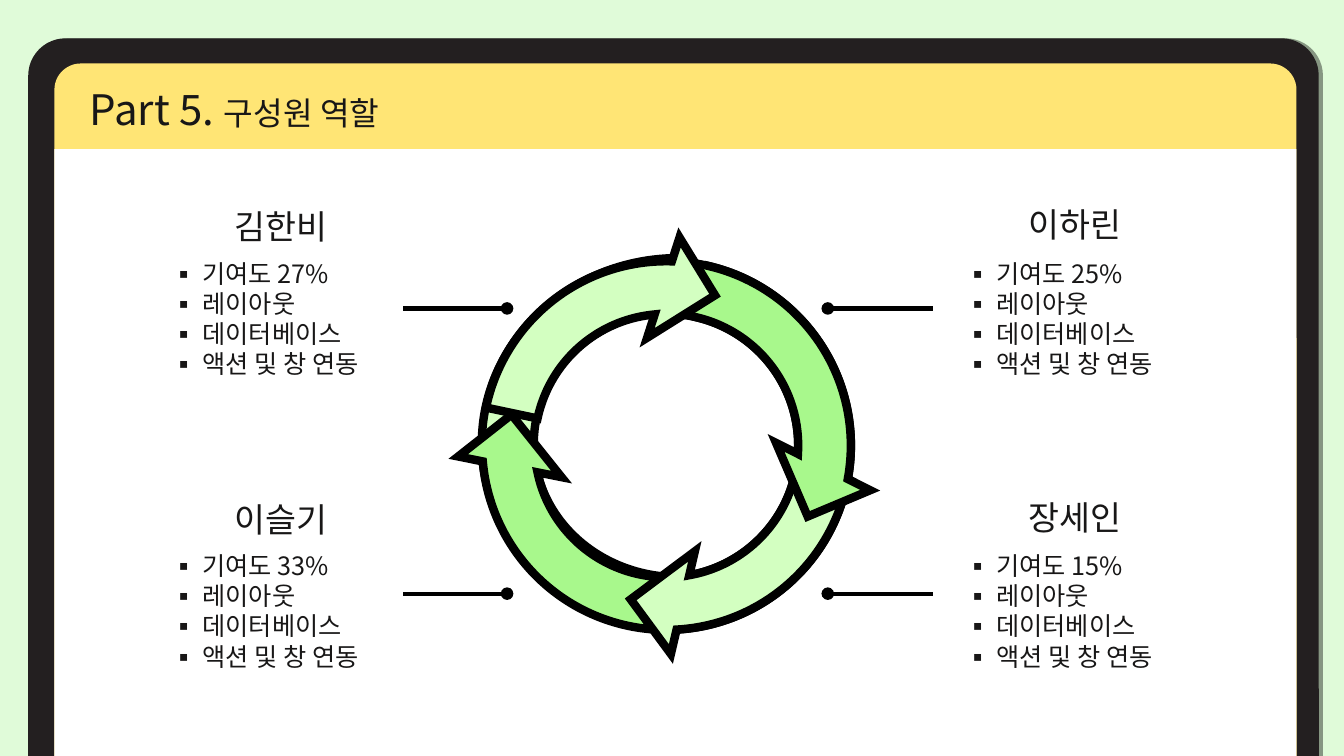
"""Build the slide on the roles of the four team members."""
from lxml import etree
from pptx import Presentation
from pptx.dml.color import RGBColor
from pptx.enum.shapes import MSO_CONNECTOR, MSO_SHAPE
from pptx.enum.text import MSO_ANCHOR, PP_ALIGN
from pptx.oxml import parse_xml
from pptx.oxml.ns import nsdecls, qn
from pptx.util import Inches, Pt

RECT, ROUND = MSO_SHAPE.RECTANGLE, MSO_SHAPE.ROUND_2_SAME_RECTANGLE
ARC, ARROW = MSO_SHAPE.BLOCK_ARC, MSO_SHAPE.CIRCULAR_ARROW
LINE = MSO_CONNECTOR.STRAIGHT
LEFT, CENTER, TOP = PP_ALIGN.LEFT, PP_ALIGN.CENTER, MSO_ANCHOR.TOP
FONT = "Noto Sans CJK KR"
INK = {"back": "E0FBD9", "frame": "231F20", "band": "FFE575", "page": "FFFFFF",
       "pale": "D3FFC1", "green": "A8F88C", "line": "000000", "text": "181717"}
COLOR = {name: RGBColor.from_string(code) for name, code in INK.items()}

deck = Presentation()
deck.slide_width, deck.slide_height = Inches(13.33), Inches(7.5)
COL, ROW = deck.slide_width / 100, deck.slide_height / 100
slide = deck.slides.add_slide(deck.slide_layouts[5])
slide.background.fill.solid()
slide.background.fill.fore_color.rgb = COLOR["back"]
shapes = slide.shapes


def cells(x, y, w, h):
    """Turn columns and rows into lengths."""
    return int(x * COL), int(y * ROW), int(w * COL), int(h * ROW)


def style(para, sizes, lead, align=LEFT):
    """Format a paragraph and its runs."""
    para.alignment = align
    para.line_spacing = Pt(lead)
    for run, size in zip(para.runs, sizes):
        run.font.size = Pt(size)
        run.font.name = FONT
        run.font.color.rgb = COLOR["text"]
        etree.SubElement(run.font._element, qn("a:ea"), typeface=FONT)


panels = [
    (ROUND, (2.1, 5.07, 96.02, 94.93), "frame", (0.052, 0)),
    (ROUND, (4.05, 8.4, 92.42, 91.6), "band", (0.038, 0)),
    (RECT, (4.05, 19.73, 92.42, 80.27), "page", ()),
]
for kind, area, color, bends in panels:
    panel = shapes.add_shape(kind, *cells(*area))
    panel.shadow.inherit = False
    panel.fill.solid()
    panel.fill.fore_color.rgb = COLOR[color]
    panel.line.fill.background()
    for i, bend in enumerate(bends):
        panel.adjustments[i] = bend
    if color == "frame":
        glow = panel._element.spPr.find(qn("a:effectLst"))
        glow.append(parse_xml(
            f'<a:outerShdw {nsdecls("a")} blurRad="0" dist="38100" dir="0" '
            'algn="l" rotWithShape="0"><a:srgbClr val="000000">'
            '<a:alpha val="40000"/></a:srgbClr></a:outerShdw>'))

title = shapes.title
title.left, title.top, title.width, title.height = cells(5.93, 9.87, 47.1, 8.13)
frame = title.text_frame
frame.word_wrap, frame.vertical_anchor = True, TOP
head = frame.paragraphs[0]
for words in ("Part 5. ", "구성원 역할"):
    head.add_run().text = words
style(head, (30, 23), 38.5)
shapes._spTree.append(title._element)

ring = (33.91, 31.07, 31.36, 55.73)
parts = [
    (ARC, (36.68, 32.67, 27.61, 52), 270, "pale", (108.524, 0.01664, 0.14)),
    (ARROW, ring, 191.3, "green", ()),
    (ARROW, ring, 103.1, "pale", ()),
    (ARROW, ring, 26.7, "green", (0.125, 11.423, 204.577, 147.154, 0.125)),
    (ARROW, ring, 287.9, "pale", (0.125, 11.423, 204.577, 158.4, 0.125)),
]
parts[0] = (*parts[0][:4], (108.524, 1.664, 0.14))
for kind, area, turn, color, bends in parts:
    part = shapes.add_shape(kind, *cells(*area))
    part.shadow.inherit = False
    part.rotation = turn
    part.fill.solid()
    part.fill.fore_color.rgb = COLOR[color]
    part.line.color.rgb = COLOR["line"]
    part.line.width = Pt(6)
    etree.SubElement(part.line._get_or_add_ln(), qn("a:miter"), lim="800000")
    for i, bend in enumerate(bends):
        part.adjustments[i] = bend

STEP, DROP = 59.07, 38.67
people = [("김한비", 27, 0, 0), ("이하린", 25, 1, 0),
          ("이슬기", 33, 0, 1), ("장세인", 15, 1, 1)]
for name, share, col, row in people:
    start, end = ((30.01, 37.73), (69.39, 61.59))[col]
    y = 40.8 + 37.73 * row
    link = shapes.add_connector(LINE, int(start * COL), int(y * ROW),
                                int(end * COL), int(y * ROW))
    link.line.color.rgb = COLOR["line"]
    link.line.width = Pt(3)
    etree.SubElement(link.line._get_or_add_ln(), qn("a:tailEnd"), type="oval")
    etree.SubElement(link._element.spPr, qn("a:effectLst"))

    label = shapes.add_textbox(*cells(
        13.28 + STEP * col, 26.4 - 0.27 * col + DROP * row, 15.3, 6.67))
    label.text_frame.word_wrap = True
    label.text_frame.text = name
    style(label.text_frame.paragraphs[0], (24,), 30, CENTER)

    tasks = shapes.add_textbox(*cells(
        12 + STEP * col, 33.47 + DROP * row, 18.38, 17.47))
    tasks.text_frame.word_wrap = True
    tasks.text_frame.text = f"기여도 {share}%\n레이아웃\n데이터베이스\n액션 및 창 연동"
    for para in tasks.text_frame.paragraphs:
        props = para._p.get_or_add_pPr()
        props.set("marL", str(Inches(0.31)))
        props.set("indent", str(-Inches(0.31)))
        etree.SubElement(props, qn("a:buFont"), typeface=FONT)
        etree.SubElement(props, qn("a:buChar"), char="▪")
        style(para, (18,), 21.6)

deck.save("out.pptx")
